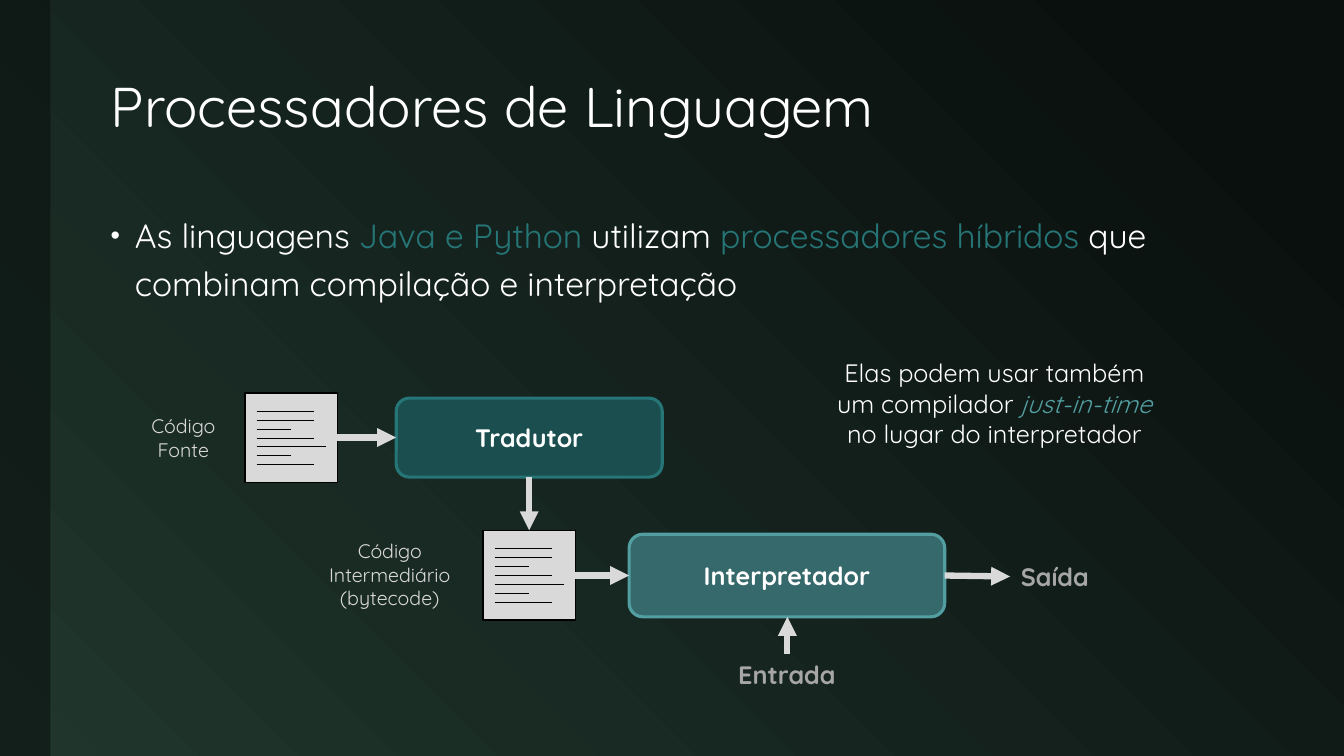
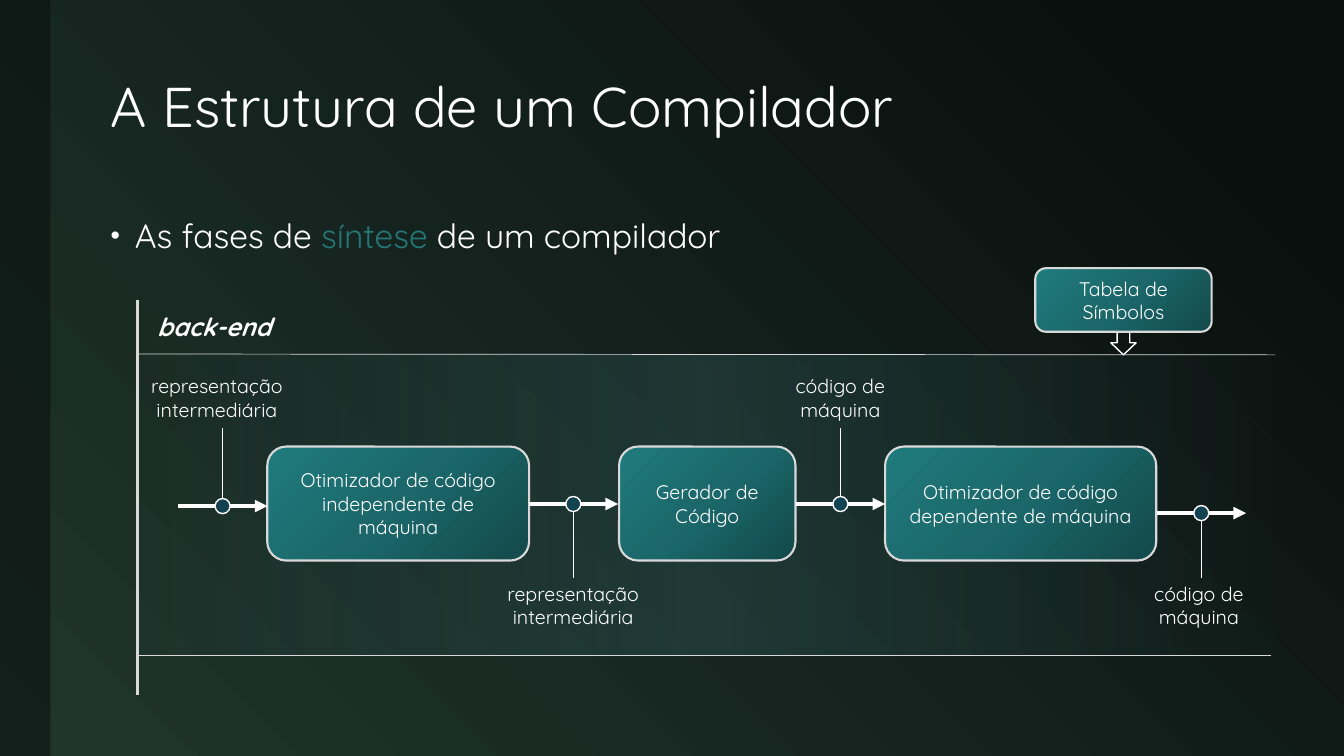
import pptx
import pptx.dml.color
import pptx.enum.dml
import pptx.enum.shapes
import pptx.enum.text
import pptx.oxml
import pptx.oxml.ns
import pptx.util
from lxml import etree

Pt = pptx.util.Pt
RGBColor = pptx.dml.color.RGBColor
qn = pptx.oxml.ns.qn
SHAPE = pptx.enum.shapes.MSO_SHAPE
ALIGN = pptx.enum.text.PP_ALIGN
ANCHOR = pptx.enum.text.MSO_ANCHOR

FONT = "Quicksand"
WHITE = RGBColor(0xFF, 0xFF, 0xFF)
BLACK = RGBColor(0, 0, 0)
NIGHT = RGBColor(0x0A, 0x10, 0x0E)
FOREST = RGBColor(0x20, 0x36, 0x2D)
SILVER = RGBColor(0xD9, 0xD9, 0xD9)
GREY = RGBColor(0xA6, 0xA6, 0xA6)
TEAL = RGBColor(0x26, 0x75, 0x77)
DEEP_TEAL = RGBColor(0x1A, 0x4E, 0x4F)
DULL_TEAL = RGBColor(0x36, 0x69, 0x6B)
BRIGHT_TEAL = RGBColor(0x52, 0x9E, 0xA1)
DOT_BLUE = RGBColor(0x13, 0x42, 0x51)
PHASE_STOPS = [
    (0, RGBColor(0x13, 0x49, 0x4A), 100),
    (50, RGBColor(0x1B, 0x67, 0x6A), 100),
    (100, RGBColor(0x20, 0x7B, 0x7D), 100),
]

TITLE_BOX = (72, 30, 839, 96)
BODY_BOX = (72, 144, 839, 348)
DOCUMENT_SIZE = (66, 64)
DOCUMENT_ROWS = [41, 41, 24.5, 41, 49.5, 24.5, 41]
PHASE_TOP, PHASE_HEIGHT = 104.4, 81.4


def lengths(box):
    return [Pt(value) for value in box]


def set_alpha(color_element, percent):
    etree.SubElement(color_element, qn("a:alpha"), val=str(percent * 1000))


def paint_gradient(fill, owner, stops, clockwise_angle):
    fill.gradient()
    fill.gradient_angle = 360 - clockwise_angle
    stop_list = next(owner.iter(qn("a:gsLst")))
    for old_stop in list(stop_list):
        stop_list.remove(old_stop)
    for position, color, opacity in stops:
        stop = etree.SubElement(stop_list, qn("a:gs"), pos=str(position * 1000))
        tint = etree.SubElement(stop, qn("a:srgbClr"), val=str(color))
        if opacity < 100:
            set_alpha(tint, opacity)


def format_span(span, size, color, bold=False, italic=False):
    span.font.name = FONT
    span.font.size = Pt(size)
    span.font.color.rgb = color
    span.font.bold = bold
    span.font.italic = italic


def write_text(frame, text, size, color, bold=False, italic=False, align=ALIGN.CENTER):
    frame.text = text
    for para in frame.paragraphs:
        para.alignment = align
        for span in para.runs:
            format_span(span, size, color, bold, italic)


def write_pieces(para, size, pieces, accent, italic=False):
    for text, accented in pieces:
        span = para.add_run()
        span.text = text
        format_span(span, size, accent if accented else WHITE, italic=italic and accented)


def add_label(shapes, box, text, size, color, **style):
    label = shapes.add_textbox(*lengths(box))
    label.text_frame.word_wrap = False
    write_text(label.text_frame, text, size, color, **style)


def add_outline(shapes, preset, box, line_color, line_width, fill_color=None):
    shape = shapes.add_shape(preset, *lengths(box))
    shape.shadow.inherit = False
    if fill_color is None:
        shape.fill.background()
    else:
        shape.fill.solid()
        shape.fill.fore_color.rgb = fill_color
    if line_color is None:
        shape.line.fill.background()
    else:
        shape.line.color.rgb = line_color
        shape.line.width = Pt(line_width)
    return shape


def add_named_box(shapes, box, text, size, line_color, line_width, fill_color=None, bold=False):
    shape = add_outline(shapes, SHAPE.ROUNDED_RECTANGLE, box, line_color, line_width, fill_color)
    shape.text_frame.word_wrap = True
    shape.text_frame.vertical_anchor = ANCHOR.MIDDLE
    write_text(shape.text_frame, text, size, WHITE, bold)
    return shape


def add_phase(shapes, box, text):
    phase = add_named_box(shapes, box, text, 14, SILVER, 1.5)
    paint_gradient(phase.fill, phase.element, PHASE_STOPS, 225)


def add_line(shapes, start, end, color, width, arrow=False):
    line = shapes.add_connector(
        pptx.enum.shapes.MSO_CONNECTOR.STRAIGHT, *lengths(start + end)
    )
    line.line.color.rgb = color
    line.line.width = Pt(width)
    properties = line.element.spPr
    if arrow:
        etree.SubElement(properties.find(qn("a:ln")), qn("a:tailEnd"), type="triangle")
    etree.SubElement(properties, qn("a:effectLst"))


def add_page(deck, title, body_pieces):
    page = deck.slides.add_slide(deck.slide_layouts[5])
    heading = page.shapes.title
    heading.left, heading.top, heading.width, heading.height = lengths(TITLE_BOX)
    frame = heading.text_frame
    write_text(frame, title, 40, WHITE, align=ALIGN.LEFT)
    frame.auto_size = pptx.enum.text.MSO_AUTO_SIZE.NONE
    frame.vertical_anchor = ANCHOR.MIDDLE
    frame.paragraphs[0].line_spacing = 0.9

    band = add_outline(page.shapes, SHAPE.RECTANGLE, (0, 0, 36, 540), None, 0, NIGHT)
    set_alpha(next(band.element.spPr.iter(qn("a:srgbClr"))), 60)

    body = page.shapes.add_textbox(*lengths(BODY_BOX))
    body.text_frame.word_wrap = True
    para = body.text_frame.paragraphs[0]
    para.line_spacing = 1.2
    para.space_before = Pt(18)
    write_pieces(para, 24, body_pieces, TEAL)
    settings = para._p.get_or_add_pPr()
    settings.set("marL", str(Pt(17.25)))
    settings.set("indent", str(Pt(-17.25)))
    etree.SubElement(settings, qn("a:buSzPct"), val="80000")
    etree.SubElement(settings, qn("a:buFont"), typeface="Arial")
    etree.SubElement(settings, qn("a:buChar"), char="•")
    return page


def add_document(page, left, top):
    shapes = page.shapes.add_group_shape().shapes
    add_outline(shapes, SHAPE.RECTANGLE, (left, top, *DOCUMENT_SIZE), BLACK, 1, SILVER)
    for index, width in enumerate(DOCUMENT_ROWS):
        x, y = left + 8.4, top + 12.8 + index * 6.4
        add_line(shapes, (x, y), (x + width, y), BLACK, 0.5)


def add_hybrid_diagram(page, left, top):
    shapes = page.shapes

    def spot(x, y, *size):
        return (left + x, top + y, *size)

    add_named_box(shapes, spot(185, 3.6, 190, 56.4), "Tradutor", 18, TEAL, 2.25, DEEP_TEAL, True)
    add_named_box(
        shapes, spot(351.4, 100.8, 225.4, 59), "Interpretador", 18, BRIGHT_TEAL, 2.25, DULL_TEAL, True
    )
    for x, y in [(77, 0), (247, 98)]:
        add_document(page, *spot(x, y))
    for start, end in [
        ((143, 31.7), (185, 31.7)),
        ((280, 60), (280, 98)),
        ((313, 130.3), (351.4, 130.3)),
        ((576.8, 130.3), (623.5, 131)),
        ((464.4, 186.5), (464.4, 159.8)),
    ]:
        add_line(shapes, spot(*start), spot(*end), SILVER, 4.5, arrow=True)
    for box, text in [
        ((0, 11.5, 66, 41), "Código\nFonte"),
        ((127.4, 100.8, 106, 58), "Código\nIntermediário\n(bytecode)"),
    ]:
        add_label(shapes, spot(*box), text, 14, SILVER)
    for box, text in [
        ((419.8, 186.5, 88.6, 29), "Entrada"),
        ((623.5, 116.6, 64, 29), "Saída"),
    ]:
        add_label(shapes, spot(*box), text, 18, GREY, bold=True)


def add_remark(page, box):
    remark = page.shapes.add_textbox(*lengths(box))
    remark.text_frame.word_wrap = True
    para = remark.text_frame.paragraphs[0]
    para.alignment = ALIGN.CENTER
    pieces = [
        ("Elas podem usar também um compilador ", False),
        ("just-in-time", True),
        (" no lugar do interpretador", False),
    ]
    write_pieces(para, 18, pieces, BRIGHT_TEAL, italic=True)


def add_flow(shapes, left, middle, top, text, above, label_shift):
    center, radius = left + 31.5, 5.4
    add_line(shapes, (left, middle), (left + 63.5, middle), WHITE, 3, arrow=True)
    if above:
        label_top, leader = top + 49, (top + 91, middle - radius)
    else:
        label_top, leader = top + 197.3, (middle + radius, top + 198)
    add_line(shapes, (center, leader[0]), (center, leader[1]), WHITE, 0.75)
    dot_box = (center - radius, middle - radius, 2 * radius, 2 * radius)
    add_outline(shapes, SHAPE.OVAL, dot_box, WHITE, 1, DOT_BLUE)
    add_label(shapes, (center + label_shift - 58, label_top, 116, 41), text, 14, WHITE)


def add_back_end(page, left, top, width, height):
    shapes = page.shapes
    glow_box = (left - 9.4, top + 38.9, width + 15, 213.8)
    glow = add_outline(shapes, SHAPE.RECTANGLE, glow_box, None, 0)
    glow_stops = [(0, DULL_TEAL, 0), (50, DULL_TEAL, 30), (100, DULL_TEAL, 0)]
    paint_gradient(glow.fill, glow.element, glow_stops, 180)
    add_label(
        shapes, (left + 7.2, top + 4.3, 103, 29), "back-end", 18, WHITE,
        bold=True, italic=True, align=ALIGN.LEFT,
    )

    pipeline = shapes.add_group_shape().shapes
    for x, phase_width, text in [
        (92.9, 187, "Otimizador de código independente de máquina"),
        (344.2, 126, "Gerador de Código"),
        (534.2, 193.7, "Otimizador de código dependente de máquina"),
    ]:
        add_phase(pipeline, (left + x, top + PHASE_TOP, phase_width, PHASE_HEIGHT), text)
    representation, machine_code = "representação\nintermediária", "código de\nmáquina"
    for x, y, text, above, label_shift in [
        (29.5, 146.9, representation, True, -4),
        (280, 145.4, representation, False, 0),
        (470.8, 145.4, machine_code, True, 0),
        (728.6, 151.9, machine_code, False, -1.7),
    ]:
        add_flow(pipeline, left + x, top + y, top, text, above, label_shift)

    add_outline(shapes, SHAPE.DOWN_ARROW, (left + 695.5, top + 21.6, 18, 17.3), WHITE, 1)
    add_line(shapes, (left, top + 38.3), (left + width, top + 38.9), SILVER, 0.5)
    add_line(shapes, (left, top + 253.4), (left + width - 3, top + 253.4), SILVER, 0.5)
    add_line(shapes, (left, top), (left, top + height), SILVER, 2.25)
    add_phase(shapes, (left + 641.5, top - 23, 126, 45.4), "Tabela de Símbolos")


def main():
    deck = pptx.Presentation()
    deck.slide_width, deck.slide_height = Pt(960), Pt(540)
    master = deck.slide_master
    backdrop = [(10, NIGHT, 100), (100, FOREST, 100)]
    paint_gradient(master.background.fill, master.element, backdrop, 135)

    page = add_page(deck, "Processadores de Linguagem", [
        ("As linguagens ", False),
        ("Java e Python ", True),
        ("utilizam ", False),
        ("processadores híbridos", True),
        (" que combinam compilação e interpretação", False),
    ])
    add_hybrid_diagram(page, 98, 280.8)
    add_remark(page, (582.5, 252, 255.6, 72.7))

    page = add_page(deck, "A Estrutura de um Compilador", [
        ("As fases de ", False),
        ("síntese", True),
        (" de um compilador", False),
    ])
    add_back_end(page, 98, 214.6, 813, 282.2)

    deck.save("out.pptx")


if __name__ == "__main__":
    main()
